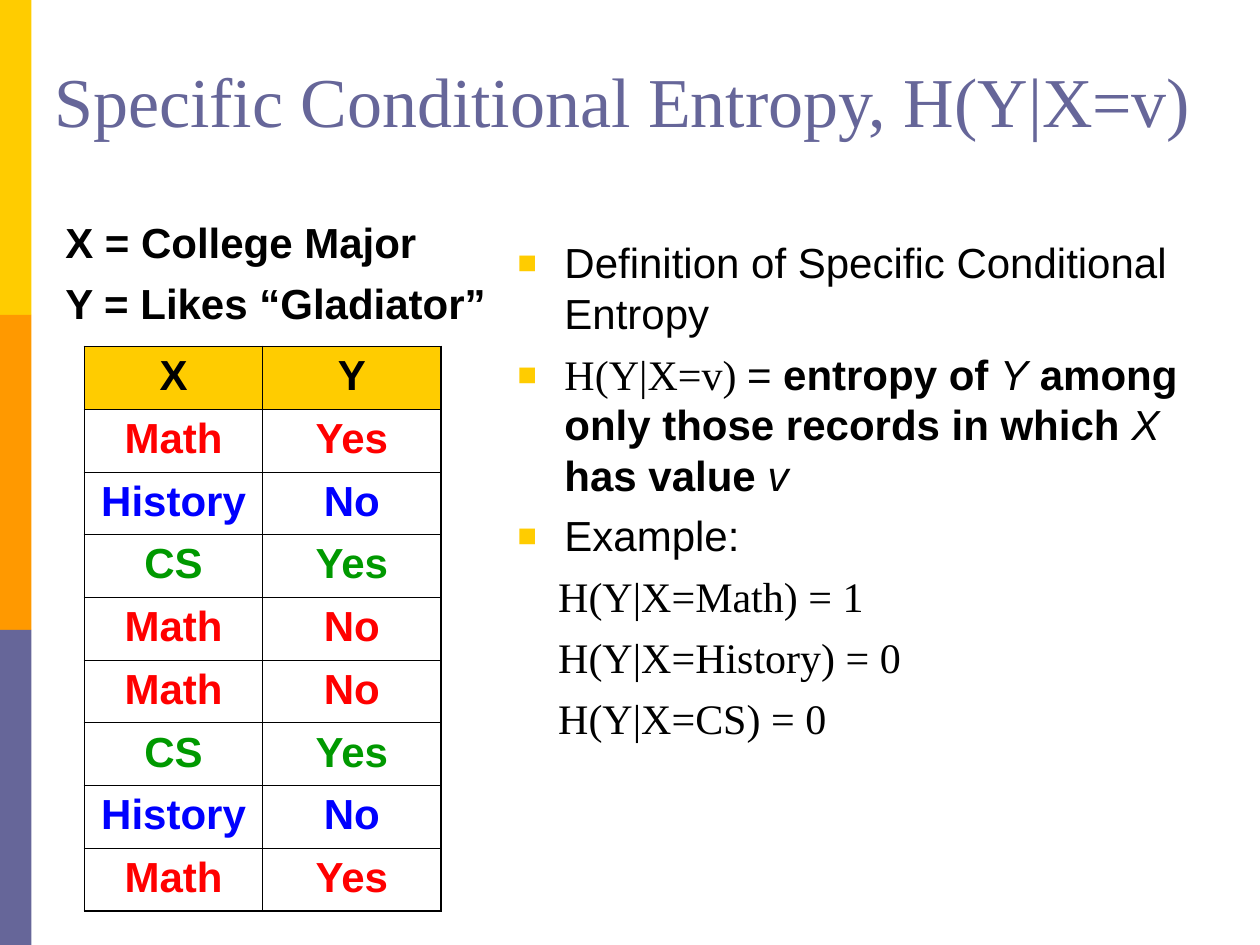
from lxml import etree
from pptx import Presentation
from pptx.dml.color import RGBColor
from pptx.enum.shapes import MSO_SHAPE
from pptx.enum.text import MSO_ANCHOR, MSO_AUTO_SIZE, PP_ALIGN
from pptx.oxml.ns import qn
from pptx.util import Inches, Pt

RECT = MSO_SHAPE.RECTANGLE
BOTTOM = MSO_ANCHOR.BOTTOM
FIXED = MSO_AUTO_SIZE.NONE
LEFT, CENTER = PP_ALIGN.LEFT, PP_ALIGN.CENTER

BLACK = RGBColor(0, 0, 0)
GOLD = RGBColor(0xFF, 0xCC, 0x00)
ORANGE = RGBColor(0xFF, 0x99, 0x00)
SLATE = RGBColor(0x66, 0x66, 0x99)
RED = RGBColor(0xFF, 0, 0)
BLUE = RGBColor(0, 0, 0xFF)
GREEN = RGBColor(0, 0x99, 0)
SANS, SERIF = "Arial", "Times New Roman"

TITLE = "Specific Conditional Entropy, H(Y|X=v)"
BARS = [GOLD, ORANGE, SLATE]
LEGEND = ["X = College Major", "Y = Likes “Gladiator”"]
ROWS = [
    ("X", "Y"),
    ("Math", "Yes"),
    ("History", "No"),
    ("CS", "Yes"),
    ("Math", "No"),
    ("Math", "No"),
    ("CS", "Yes"),
    ("History", "No"),
    ("Math", "Yes"),
]
MAJORS = {"Math": RED, "History": BLUE, "CS": GREEN}

# Run styles: font, bold, italic
PLAIN = (SANS, False, False)
BOLD = (SANS, True, False)
ITALIC = (SANS, False, True)
MATH = (SERIF, False, False)
POINTS = [
    [("Definition of Specific Conditional Entropy", PLAIN)],
    [("H(Y|X=v) ", MATH), ("=", PLAIN), (" entropy of ", BOLD), ("Y", ITALIC),
     (" among only those records in which ", BOLD), ("X", ITALIC),
     (" has value ", BOLD), ("v", ITALIC)],
    [("Example:", PLAIN)],
]
RESULTS = ["H(Y|X=Math) = 1", "H(Y|X=History) = 0", "H(Y|X=CS) = 0"]


def place(shape, left, top, width, height):
    shape.left, shape.top = Inches(left), Inches(top)
    shape.width, shape.height = Inches(width), Inches(height)
    shape.text_frame.word_wrap = True
    shape.text_frame.auto_size = FIXED


def add_run(para, text, style, color=BLACK, size=24):
    run = para.add_run()
    run.text = text
    font = run.font
    font.name, font.bold, font.italic = style
    font.size = Pt(size)
    font.color.rgb = color


def next_para(frame):
    """Return the empty first paragraph, or a new one, spaced for a list."""
    first = frame.paragraphs[0]
    para = frame.add_paragraph() if first.runs else first
    para.alignment = LEFT
    para.space_before = Pt(6)
    return para


def indent(para, margin, first=0.0, bullet=False):
    props = para._p.get_or_add_pPr()
    props.set("marL", str(Inches(margin)))
    props.set("indent", str(Inches(first)))
    if not bullet:
        etree.SubElement(props, qn("a:buNone"))
        return
    color = etree.SubElement(props, qn("a:buClr"))
    etree.SubElement(color, qn("a:srgbClr"), val=str(GOLD))
    etree.SubElement(props, qn("a:buSzPct"), val="150000")
    etree.SubElement(props, qn("a:buFont"), typeface=SANS)
    etree.SubElement(props, qn("a:buChar"), char="▪")


def border(cell, outer):
    """Draw all four sides, heavier on those named in outer."""
    props = cell._tc.get_or_add_tcPr()
    for i, side in enumerate("LRTB"):
        width = Pt(1.08 if side in outer else 0.45)
        line = etree.Element(qn("a:ln" + side), w=str(width))
        fill = etree.SubElement(line, qn("a:solidFill"))
        etree.SubElement(fill, qn("a:srgbClr"), val=str(BLACK))
        props.insert(i, line)


def add_bars(slide):
    for i, color in enumerate(BARS):
        bar = slide.shapes.add_shape(
            RECT, 0, Inches(2.5 * i), Inches(0.25), Inches(2.5))
        bar.shadow.inherit = False
        bar.fill.solid()
        bar.fill.fore_color.rgb = color
        bar.line.fill.background()


def add_title(slide):
    title = slide.shapes.title
    place(title, 0.33, 0.25, 9.5, 0.92)
    title.text_frame.vertical_anchor = BOTTOM
    para = title.text_frame.paragraphs[0]
    para.alignment = LEFT
    add_run(para, TITLE, MATH, SLATE, 40)


def add_records(slide):
    count = len(ROWS)
    frame = slide.shapes.add_table(
        count, 2, Inches(0.67), Inches(2.75), Inches(2.83), Inches(4.48))
    table = frame.table
    table.horz_banding = False
    for r, row in enumerate(ROWS):
        color = MAJORS.get(row[0], BLACK)
        ends = "T" if r == 0 else "B" if r == count - 1 else ""
        for c, text in enumerate(row):
            cell = table.cell(r, c)
            if r == 0:
                cell.fill.solid()
                cell.fill.fore_color.rgb = GOLD
            else:
                cell.fill.background()
            border(cell, ends + "LR"[c])
            para = next_para(cell.text_frame)
            para.alignment = CENTER
            add_run(para, text, BOLD, color)


def add_points(slide):
    body = slide.placeholders[1]
    place(body, 4, 1.83, 5.75, 5.5)
    for runs in POINTS:
        para = next_para(body.text_frame)
        indent(para, 0.38, -0.38, bullet=True)
        for text, style in runs:
            add_run(para, text, style)
    for text in RESULTS:
        para = next_para(body.text_frame)
        indent(para, 0.33)
        add_run(para, text, MATH)


def add_legend(slide):
    box = slide.shapes.add_textbox(0, 0, 0, 0)
    place(box, 0.42, 1.67, 3.58, 1.17)
    for text in LEGEND:
        para = next_para(box.text_frame)
        indent(para, 0.38, -0.38)
        add_run(para, text, BOLD)


def main():
    deck = Presentation()
    deck.slide_width, deck.slide_height = Inches(10), Inches(7.5)
    slide = deck.slides.add_slide(deck.slide_layouts[1])
    add_bars(slide)
    add_title(slide)
    add_records(slide)
    add_points(slide)
    add_legend(slide)
    deck.save("out.pptx")


if __name__ == "__main__":
    main()
